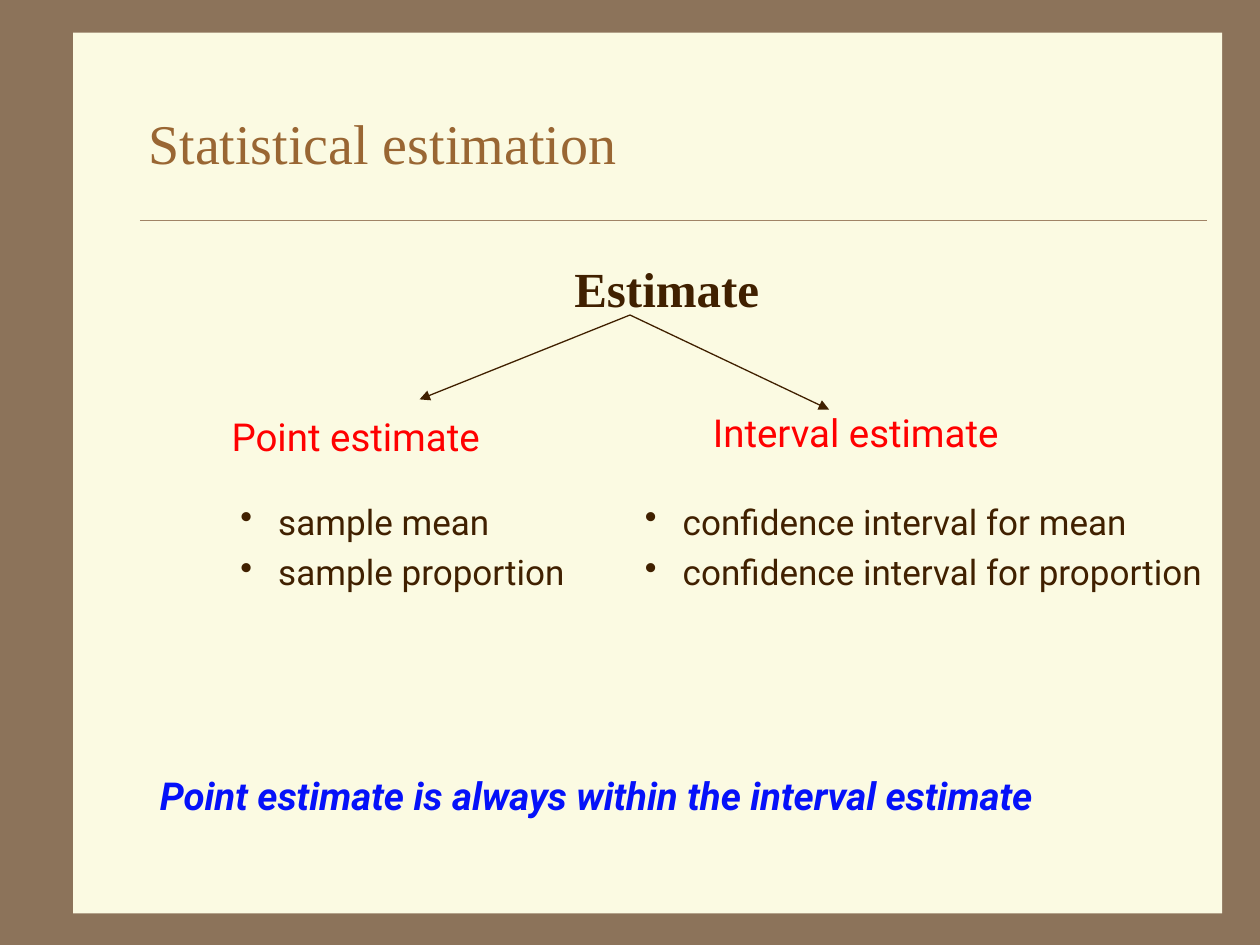
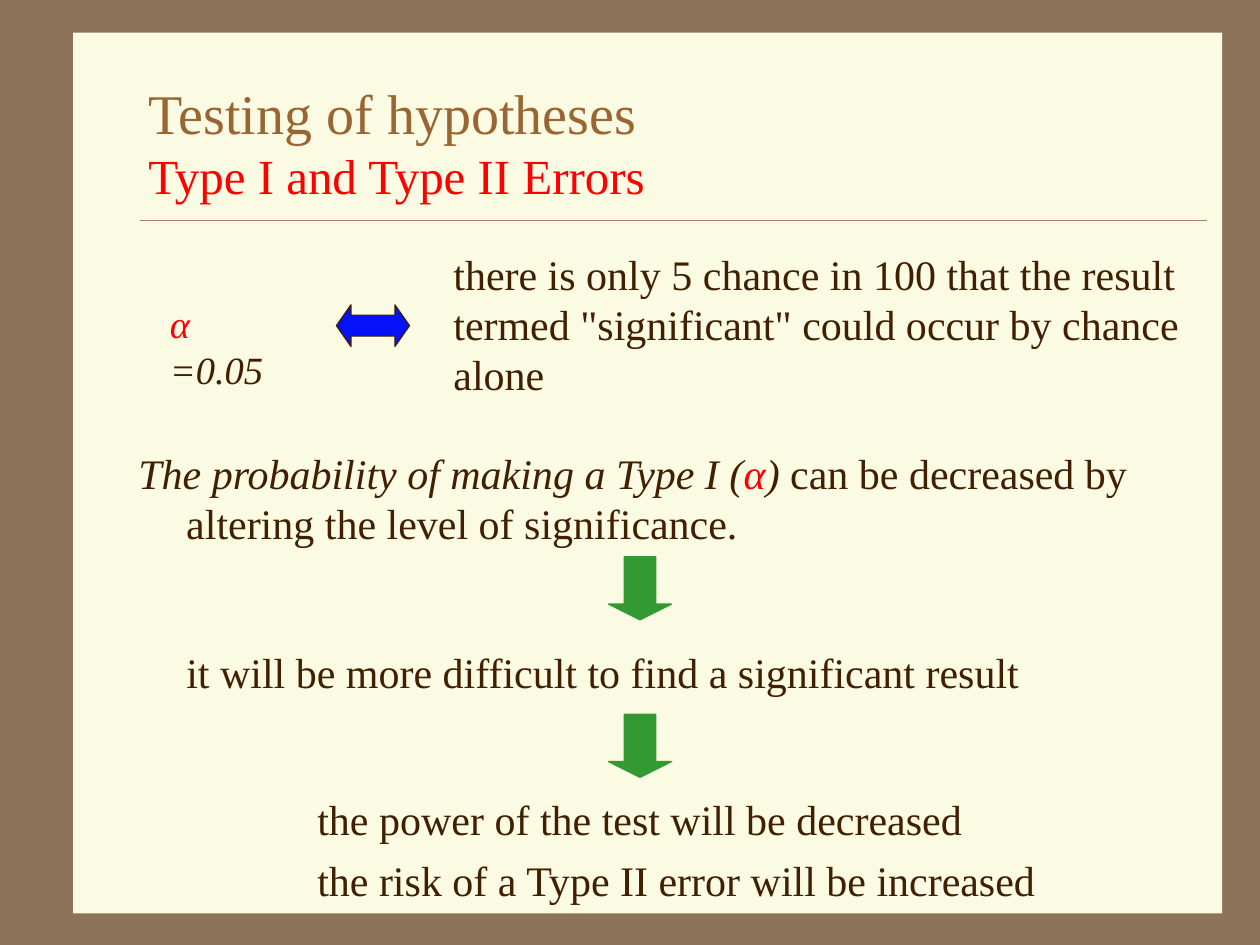
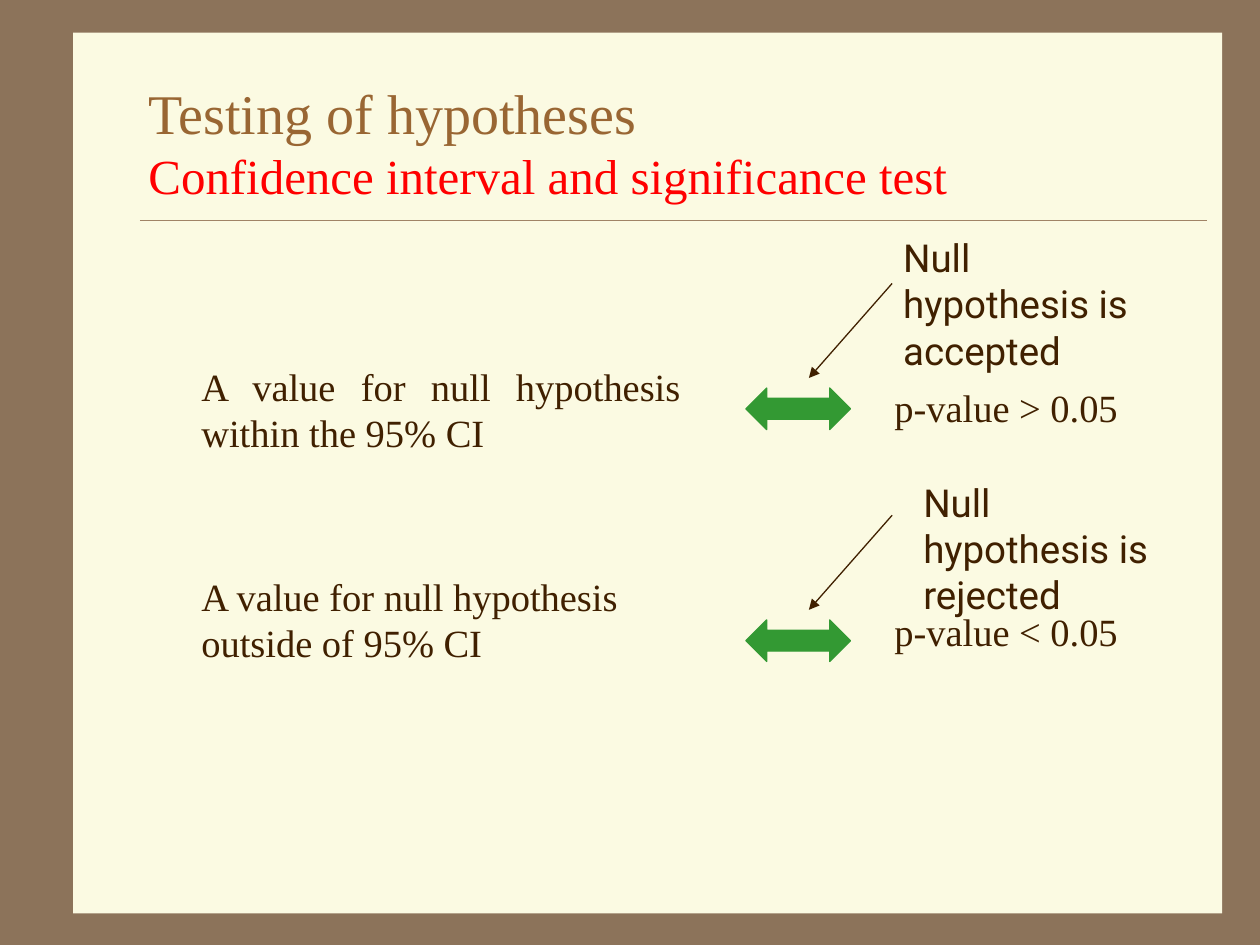
from lxml import etree
from pptx import Presentation
from pptx import util as u
from pptx.dml.color import RGBColor
from pptx.enum import shapes, text
from pptx.oxml.ns import qn

COLOURS = {
    "frame": "8C735A",
    "panel": "FBFAE2",
    "rule": "A08366",
    "title": "996633",
    "body": "402000",
    "red": "FF0000",
    "blue": "0511F9",
    "green": "339933",
}
SERIF = "Times New Roman"
SANS = "Roboto"
JUSTIFY = text.PP_ALIGN.JUSTIFY


def colour(name):
    return RGBColor.from_string(COLOURS[name])


def add_bullet(paragraph, indent):
    properties = paragraph._p.get_or_add_pPr()
    properties.set("marL", str(u.Inches(indent)))
    properties.set("indent", str(-u.Inches(indent)))
    etree.SubElement(properties, qn("a:buChar")).set("char", "•")


def add_text(slide, left, top, width, height, paragraphs, size=22, name=SERIF,
             shade="body", bold=False, italic=False, wrap=True, align=None,
             space=0, bullet=0, hanging=0, middle=False):
    """Each paragraph is a string or a list of (text, run settings)."""
    box = slide.shapes.add_textbox(*map(u.Inches, (left, top, width, height)))
    frame = box.text_frame
    frame.word_wrap = wrap
    if middle:
        frame.vertical_anchor = text.MSO_ANCHOR.MIDDLE
    for index, content in enumerate(paragraphs):
        paragraph = frame.add_paragraph() if index else frame.paragraphs[0]
        if bullet:
            add_bullet(paragraph, bullet)
        if hanging:
            properties = paragraph._p.get_or_add_pPr()
            properties.set("marL", str(u.Inches(hanging)))
            properties.set("indent", str(-u.Inches(hanging)))
        if index:
            paragraph.space_before = u.Pt(space)
        if align is not None:
            paragraph.alignment = align
        font = paragraph.font
        font.name, font.size = name, u.Pt(size)
        font.bold, font.italic = bold, italic
        font.color.rgb = colour(shade)
        runs = [(content, {})] if isinstance(content, str) else content
        for wording, settings in runs:
            if settings.get("new_line"):
                paragraph.add_line_break()
            run = paragraph.add_run()
            run.text = wording
            if "size" in settings:
                run.font.size = u.Pt(settings["size"])
            if "shade" in settings:
                run.font.color.rgb = colour(settings["shade"])
            if "italic" in settings:
                run.font.italic = settings["italic"]
    return box


def add_block(slide, kind, left, top, width, height, fill, line=None, adjust=()):
    shape = slide.shapes.add_shape(kind, *map(u.Inches, (left, top, width, height)))
    shape.shadow.inherit = False
    shape.fill.solid()
    shape.fill.fore_color.rgb = colour(fill)
    if line:
        shape.line.color.rgb = colour(line)
        shape.line.width = u.Pt(0.75)
    else:
        shape.line.fill.background()
    for index, value in enumerate(adjust):
        shape.adjustments[index] = value


def add_line(slide, start, end, shade="body", width=0.75, arrow=True):
    connector = slide.shapes.add_connector(
        shapes.MSO_CONNECTOR.STRAIGHT, *map(u.Inches, (*start, *end)))
    connector.line.color.rgb = colour(shade)
    connector.line.width = u.Pt(width)
    if arrow:
        line = connector.line._get_or_add_ln()
        etree.SubElement(line, qn("a:tailEnd")).set("type", "triangle")
    etree.SubElement(connector._element.spPr, qn("a:effectLst"))


def add_slide(presentation, title, subtitle=None):
    """Framed panel with a title, an optional red subtitle and a rule."""
    slide = presentation.slides.add_slide(presentation.slide_layouts[6])
    slide.background.fill.solid()
    slide.background.fill.fore_color.rgb = colour("frame")
    add_block(slide, shapes.MSO_SHAPE.RECTANGLE, 0.58, 0.26, 9.12, 6.99, "panel")
    add_line(slide, (1.11, 1.75), (9.58, 1.75), "rule", 0.25, arrow=False)
    runs = [(title, {})]
    if subtitle:
        runs.append((subtitle, {"size": 28, "shade": "red", "new_line": True}))
    add_text(slide, 1.08, 0.5, 8.5, 1.25, [runs], size=32, shade="title", middle=True)
    return slide


def build_estimation(presentation):
    slide = add_slide(presentation, "Statistical estimation")

    # Tree of estimates
    add_text(slide, 4.46, 2, 2, 0.55, ["Estimate"], size=28, bold=True)
    for tip in ((3.33, 3.17), (6.58, 3.25)):
        add_line(slide, (5, 2.5), tip)
    add_text(slide, 1.74, 3.23, 2.27, 0.47, ["Point estimate"],
             name=SANS, shade="red", wrap=False)
    add_text(slide, 5.56, 3.2, 2.63, 0.47, ["Interval estimate"],
             name=SANS, shade="red", wrap=False)

    # Examples of each kind
    examples = [
        (1.81, 2.82, ["sample mean", "sample proportion"]),
        (5.02, 4.81, ["confidence interval for mean",
                      "confidence interval for proportion"]),
    ]
    for left, width, items in examples:
        add_text(slide, left, 3.92, width, 0.84, items, size=20, name=SANS,
                 wrap=False, space=5, bullet=0.3)

    # Conclusion
    add_text(slide, 1.17, 6.08, 8.33, 0.47,
             ["Point estimate is always within the interval estimate"],
             name=SANS, shade="blue", bold=True, italic=True)


def build_errors(presentation):
    slide = add_slide(presentation, "Testing of hypotheses", "Type I and Type II Errors")

    # Meaning of the significance level
    add_text(slide, 1.25, 2.33, 1.17, 0.47,
             [[("α ", {"shade": "red"}), ("=0.05", {})]], italic=True, wrap=False)
    add_block(slide, shapes.MSO_SHAPE.LEFT_RIGHT_ARROW, 2.67, 2.42, 0.58, 0.33,
              "blue", "body", (0.5, 0.35))
    add_text(slide, 3.5, 1.92, 6.08, 1.3,
             ['there is only 5 chance in 100 that the result termed "significant" '
              "could occur by chance alone"], size=24)

    # Chain of consequences
    add_text(slide, 1, 3.5, 8.5, 1,
             [[("The probability of making a Type I (", {}),
               ("α", {"shade": "red"}), (")", {}),
               (" can be decreased by altering the level of significance.",
                {"italic": False})]], size=24, italic=True, hanging=0.38)
    for top in (4.42, 5.67):
        add_block(slide, shapes.MSO_SHAPE.DOWN_ARROW, 4.83, top, 0.5, 0.5,
                  "green", "green", (0.5, 0.25))
    add_text(slide, 1.38, 5.08, 7.45, 0.58,
             ["it will be more difficult to find a significant result"], size=24)
    add_text(slide, 2.42, 6.25, 6.33, 0.92,
             ["the power of the test will be decreased",
              "the risk of a Type II error will be increased"], size=24, space=6)


def build_interval_test(presentation):
    slide = add_slide(presentation, "Testing of hypotheses",
                      "Confidence interval and significance test")

    # Position of the null value
    add_text(slide, 1.5, 2.83, 4, 0.84,
             ["A value for null hypothesis within the 95% CI"], align=JUSTIFY)
    add_text(slide, 1.5, 4.5, 3.67, 0.84,
             ["A value for null hypothesis outside of 95% CI"])

    # Matching p-value and verdict: arrow top, p-value top, verdict place
    outcomes = [
        (3.08, 3, "p-value > 0.05", (7.07, 1.81), "Null hypothesis is accepted"),
        (4.92, 4.78, "p-value < 0.05", (7.23, 3.75), "Null hypothesis is rejected"),
    ]
    for arrow_top, value_top, value, verdict_place, verdict in outcomes:
        add_block(slide, shapes.MSO_SHAPE.LEFT_RIGHT_ARROW, 5.92, arrow_top, 0.83, 0.33,
                  "green", "green", (0.5, 0.5))
        add_text(slide, 7, value_top, 2, 0.47, [value], align=JUSTIFY)
        add_line(slide, (7.08, arrow_top - 0.83), (6.42, arrow_top - 0.08))
        add_text(slide, *verdict_place, 2.27, 1.2, [verdict], name=SANS)


def main():
    presentation = Presentation()
    presentation.slide_width = u.Inches(10)
    presentation.slide_height = u.Inches(7.5)
    build_estimation(presentation)
    build_errors(presentation)
    build_interval_test(presentation)
    presentation.save("out.pptx")


if __name__ == "__main__":
    main()
